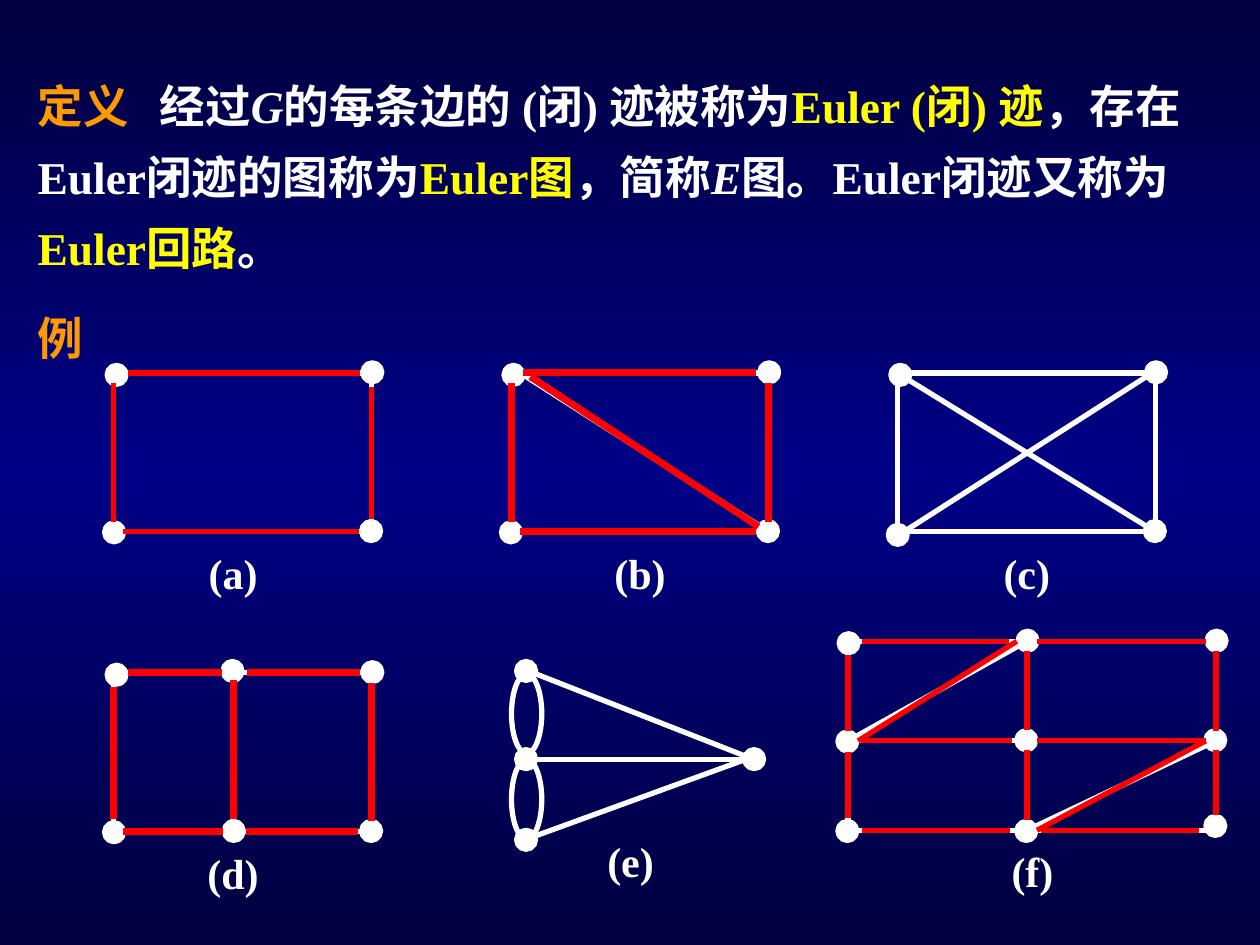
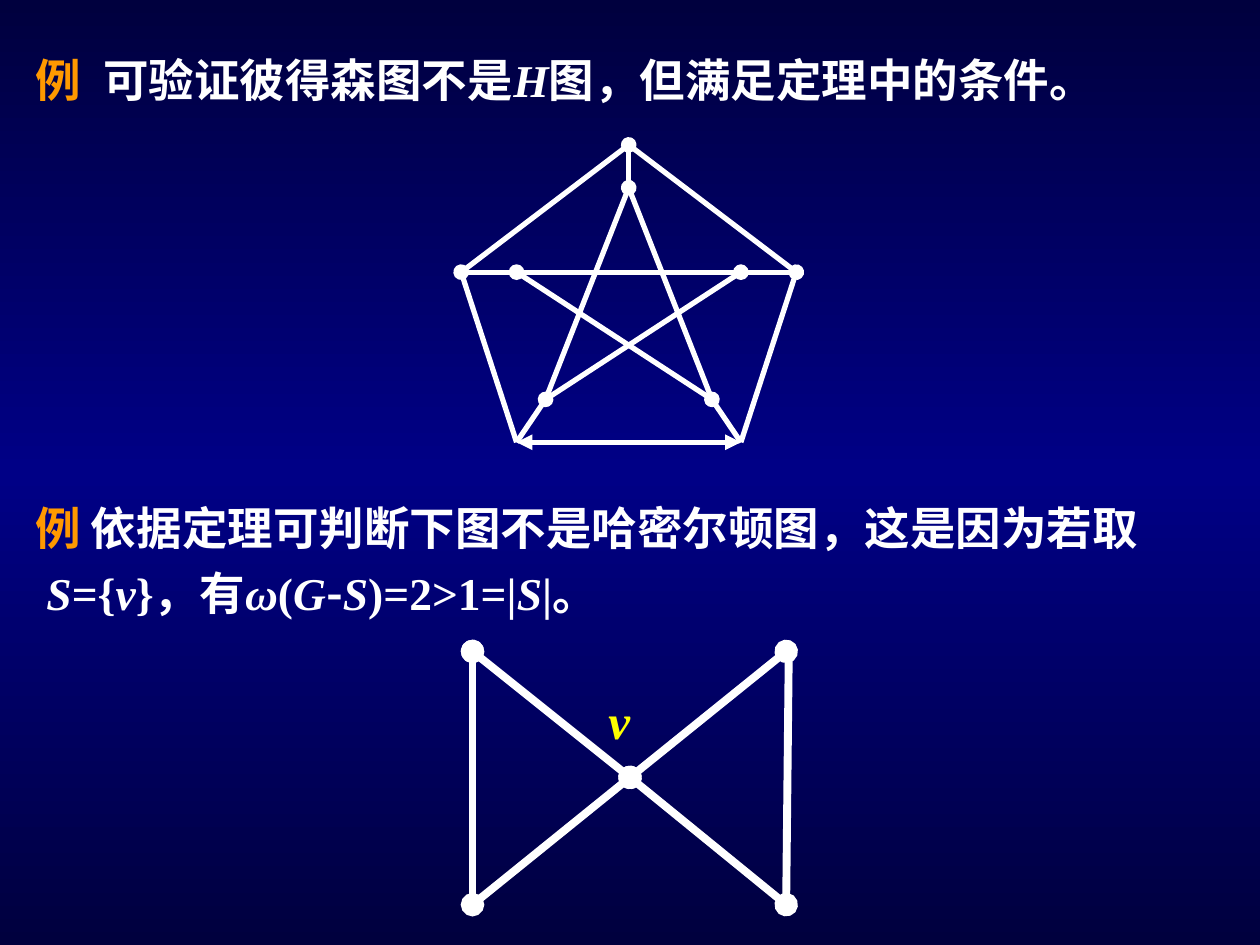
"""Build two slides on Euler trails and Hamiltonian graphs."""
import copy

import lxml.etree
import pptx
import pptx.dml.color
import pptx.enum.shapes
import pptx.enum.text
import pptx.oxml.ns
import pptx.util

Inches, Pt, qn = pptx.util.Inches, pptx.util.Pt, pptx.oxml.ns.qn
RGBColor = pptx.dml.color.RGBColor
SHAPES = pptx.enum.shapes.MSO_SHAPE
ALIGN = pptx.enum.text.PP_ALIGN

NAVY = RGBColor(0x00, 0x00, 0x3E)
BLUE = RGBColor(0x00, 0x00, 0x86)
WHITE = RGBColor(0xFF, 0xFF, 0xFF)
ORANGE = RGBColor(0xFF, 0x99, 0x00)
YELLOW = RGBColor(0xFF, 0xFF, 0x00)
RED = RGBColor(0xFF, 0x00, 0x00)
SERIF, CJK = "Times New Roman", "Noto Sans CJK SC"
NODE = 0.15

LABEL, TERM = {"color": ORANGE}, {"color": YELLOW}
VARIABLE, DASH, PLAIN = {"italic": True}, {"font": CJK}, {}

DEFINITION = [[
    ("定义", LABEL), ("\t经过", PLAIN), ("G", VARIABLE),
    ("的每条边的 (闭) 迹被称为", PLAIN), ("Euler (闭) 迹", TERM),
    ("，存在Euler闭迹的图称为", PLAIN), ("Euler图", TERM), ("，简称", PLAIN),
    ("E", VARIABLE), ("图。Euler闭迹又称为", PLAIN), ("Euler回路", TERM), ("。", PLAIN),
]]
EXAMPLE = [[("例", LABEL)]]
PETERSEN_TEXT = [[
    ("例", LABEL), ("\t可验证彼得森图不是", PLAIN), ("H", VARIABLE),
    ("图，但满足定理中的条件。", PLAIN),
]]
BOWTIE_TEXT = [
    [("例", LABEL), (" 依据定理可判断下图不是哈密尔顿图，这是因为若取", PLAIN)],
    [("S", VARIABLE), ("={", PLAIN), ("v", VARIABLE), ("}，有", PLAIN), ("ω", VARIABLE),
     ("(", PLAIN), ("G", VARIABLE), ("-", DASH), ("S", VARIABLE), (")=2>1=|", PLAIN),
     ("S", VARIABLE), ("|。", PLAIN)],
]
CUT_VERTEX = [[("v", {"color": YELLOW, "italic": True})]]

FRAME = (2.05, 1.26)
CORNERS = [(-0.05, -0.06), (1.98, -0.08), (1.97, 1.18), (-0.07, 1.19)]
GRAPHS = [
    {"caption": "(a)", "origin": (0.9, 2.96), "caption_at": (0.4, 1.34, 1.1),
     "frame": FRAME, "nodes": CORNERS, "trail_width": 3,
     "trail": [(0.12, 0, 1.96, 0), (2.05, 0.11, 2.05, 1.16),
               (1.95, 1.26, 0.08, 1.26), (0, 0.08, 0, 1.18)]},
    {"caption": "(b)", "origin": (4.05, 2.96), "caption_at": (0.48, 1.34, 1.1),
     "frame": FRAME, "nodes": CORNERS, "edges": [(0.08, 0, 2.05, 1.26)], "trail_width": 4,
     "trail": [(0.1, 0, 1.95, 0), (2.05, 0.08, 2.05, 1.18), (1.95, 1.26, 0.08, 1.26),
               (0.01, 1.18, 0.01, 0.08), (0.16, 0.03, 1.97, 1.22)]},
    {"caption": "(c)", "origin": (7.12, 2.96), "caption_at": (0.48, 1.34, 1.1),
     "frame": FRAME, "nodes": CORNERS[:3] + [(-0.07, 1.21)],
     "edges": [(0, 0, 2.05, 1.26), (2.04, -0.01, 0.07, 1.25)]},
    {"caption": "(d)", "origin": (0.9, 5.34), "caption_at": (0.4, 1.34, 1.1),
     "frame": FRAME, "nodes": CORNERS + [(0.87, -0.09), (0.88, 1.18)],
     "edges": [(0.95, -0.01, 0.95, 1.25)], "trail_width": 4,
     "trail": [(1.06, 0, 1.96, 0), (2.05, 0.08, 2.05, 1.18), (1.94, 1.26, 1.05, 1.26),
               (0.87, 1.26, 0.08, 1.26), (0, 1.16, 0, 0.11), (0.12, 0, 0.86, 0),
               (0.95, 0.06, 0.95, 1.16)]},
    {"caption": "(e)", "origin": (4.18, 5.32), "caption_at": (0.39, 1.26, 0.87),
     "nodes": [(-0.08, -0.07), (-0.08, 0.63), (-0.08, 1.27), (1.73, 0.63)],
     "edges": [(0, 0, 1.81, 0.71), (0, 0.71, 1.81, 0.71), (1.73, 0.71, 0, 1.34)],
     "loops": [(-0.12, 0.03), (-0.12, 0.71)]},
    {"caption": "(f)", "origin": (6.73, 5.09), "caption_at": (1.03, 1.57, 0.87),
     "frame": (2.92, 1.5), "trail_width": 3,
     "nodes": [(-0.07, -0.06), (1.35, -0.08), (2.85, -0.08),
               (-0.08, 0.72), (1.34, 0.71), (2.84, 0.71),
               (-0.08, 1.43), (1.34, 1.43), (2.84, 1.39)],
     "edges": [(0, 0.79, 2.92, 0.79), (1.42, 0, 1.42, 1.5),
               (1.42, 0, 0, 0.79), (2.92, 0.79, 1.42, 1.5)],
     "trail": [(2.79, 1.5, 1.53, 1.5), (1.42, 0.7, 1.42, 0.08), (1.34, 0, 0.08, 0.79),
               (1.42, 0.86, 1.42, 1.42), (1.29, 1.5, 0.11, 1.5), (0, 1.4, 0, 0.88),
               (0, 0.71, 0, 0.11), (0.11, 0, 1.28, 0), (1.5, 0, 2.84, 0),
               (2.92, 0.08, 2.92, 0.71), (2.92, 0.86, 2.92, 1.38),
               (2.84, 0.79, 1.5, 1.5), (2.84, 0.79, 1.5, 0.79), (0.1, 0.79, 1.3, 0.79)]},
]

PETERSEN = {
    "top": (4.99, 1.15), "left": (3.66, 2.16), "right": (6.32, 2.16),
    "low left": (4.1, 3.51), "low right": (5.88, 3.51),
    "inner top": (4.99, 1.49), "inner left": (4.1, 2.16), "inner right": (5.88, 2.16),
    "inner low left": (4.33, 3.17), "inner low right": (5.65, 3.17),
}
PETERSEN_EDGES = [
    ("low left", "low right", "triangle", "triangle"),
    ("inner left", "inner right", "oval", "oval"),
    ("left", "top", "oval", "oval"),
    ("inner left", "inner low right", None, None),
    ("top", "right", None, None),
    ("right", "low right", "oval", None),
    ("left", "low left", None, None),
    ("inner low left", "inner right", None, None),
    ("inner top", "inner low left", "oval", None),
    ("inner top", "inner low right", None, None),
    ("inner low right", "low right", "oval", None),
    ("right", "inner right", None, None),
    ("inner top", "top", None, None),
    ("left", "inner left", None, None),
    ("inner low left", "low left", "oval", None),
]
BOWTIE_EDGES = [
    ((5, 6.17), (6.24, 7.18), "oval", "oval"),
    ((5, 6.17), (6.24, 5.17), "oval", "oval"),
    ((3.75, 7.18), (3.75, 5.17), "oval", "oval"),
    ((3.75, 5.17), (5, 6.17), "oval", "oval"),
    ((5, 6.17), (3.75, 7.18), None, None),
    ((6.26, 5.2), (6.24, 7.14), None, None),
]


def paint_background(master):
    fill = master.background.fill
    fill.gradient()
    fill.gradient_angle = 270
    for stop in fill.gradient_stops:
        stop.color.rgb = NAVY
    stops = master.element.find(".//" + qn("a:gsLst"))
    stops.insert(1, copy.deepcopy(stops[0]))
    middle = fill.gradient_stops[1]
    middle.position = 0.5
    middle.color.rgb = BLUE


def write(slide, paragraphs, box, size=26, align=ALIGN.LEFT, spacing=None, tab=None, indents=()):
    frame = slide.shapes.add_textbox(*map(Inches, box)).text_frame
    frame.word_wrap = True
    for index, runs in enumerate(paragraphs):
        paragraph = frame.add_paragraph() if index else frame.paragraphs[0]
        properties = paragraph._p.get_or_add_pPr()
        if tab:
            tabs = lxml.etree.SubElement(properties, qn("a:tabLst"))
            lxml.etree.SubElement(tabs, qn("a:tab"), pos=str(Inches(tab)), algn="l")
        if index < len(indents):
            properties.set("marL", str(Inches(indents[index])))
        paragraph.alignment = align
        paragraph.line_spacing = spacing
        for text, style in runs:
            run = paragraph.add_run()
            run.text = text
            run.font.size = Pt(size)
            run.font.bold = True
            run.font.italic = style.get("italic", False)
            run.font.color.rgb = style.get("color", WHITE)
            run.font.name = style.get("font", SERIF)
            lxml.etree.SubElement(run.font._element, qn("a:ea"), typeface=CJK)


def outline(slide, preset, x, y, width, height, filled=False):
    shape = slide.shapes.add_shape(preset, *map(Inches, (x, y, width, height)))
    shape.shadow.inherit = False
    shape.line.color.rgb = WHITE
    shape.line.width = Pt(3)
    if filled:
        shape.fill.solid()
        shape.fill.fore_color.rgb = WHITE
    else:
        shape.fill.background()


def join(slide, start, end, color=WHITE, width=3, head=None, tail=None):
    edge = slide.shapes.add_connector(
        pptx.enum.shapes.MSO_CONNECTOR.STRAIGHT, *map(Inches, (*start, *end)))
    edge.line.color.rgb = color
    edge.line.width = Pt(width)
    properties = edge.element.spPr
    for tag, kind in (("a:headEnd", head), ("a:tailEnd", tail)):
        if kind:
            lxml.etree.SubElement(properties.find(qn("a:ln")), qn(tag), type=kind)
    lxml.etree.SubElement(properties, qn("a:effectLst"))


def draw_graph(slide, graph):
    left, top = graph["origin"]

    def draw_edges(edges, **style):
        for x1, y1, x2, y2 in edges:
            join(slide, (left + x1, top + y1), (left + x2, top + y2), **style)

    if "frame" in graph:
        outline(slide, SHAPES.RECTANGLE, left, top, *graph["frame"])
    draw_edges(graph.get("edges", []))
    for x, y in graph["nodes"]:
        outline(slide, SHAPES.OVAL, left + x, top + y, NODE, NODE, filled=True)
    for x, y in graph.get("loops", []):
        outline(slide, SHAPES.OVAL, left + x, top + y, 0.24, 0.63)
    draw_edges(graph.get("trail", []), color=RED, width=graph.get("trail_width"))
    x, y, width = graph["caption_at"]
    write(slide, [[(graph["caption"], PLAIN)]], (left + x, top + y, width, 0.5),
          size=24, align=ALIGN.CENTER)


def main():
    deck = pptx.Presentation()
    deck.slide_width, deck.slide_height = Inches(10), Inches(7.5)
    paint_background(deck.slide_master)
    blank = deck.slide_layouts[6]

    euler = deck.slides.add_slide(blank)
    write(euler, DEFINITION, (0.2, 0.44, 9.61, 1.79), spacing=1.3, tab=0.97)
    write(euler, EXAMPLE, (0.2, 2.41, 0.79, 0.54))
    for graph in GRAPHS:
        draw_graph(euler, graph)

    hamilton = deck.slides.add_slide(blank)
    write(hamilton, BOWTIE_TEXT, (0.18, 3.83, 9.61, 1.14), spacing=1.2, indents=(0, 0.09))
    for start, end, head, tail in BOWTIE_EDGES:
        join(hamilton, start, end, width=4.5, head=head, tail=tail)
    write(hamilton, CUT_VERTEX, (4.73, 5.43, 0.43, 0.57), size=28)
    for start, end, head, tail in PETERSEN_EDGES:
        join(hamilton, PETERSEN[start], PETERSEN[end], head=head, tail=tail)
    write(hamilton, PETERSEN_TEXT, (0.18, 0.28, 9.61, 0.62), spacing=1.2, tab=0.54)

    deck.save("out.pptx")


if __name__ == "__main__":
    main()
